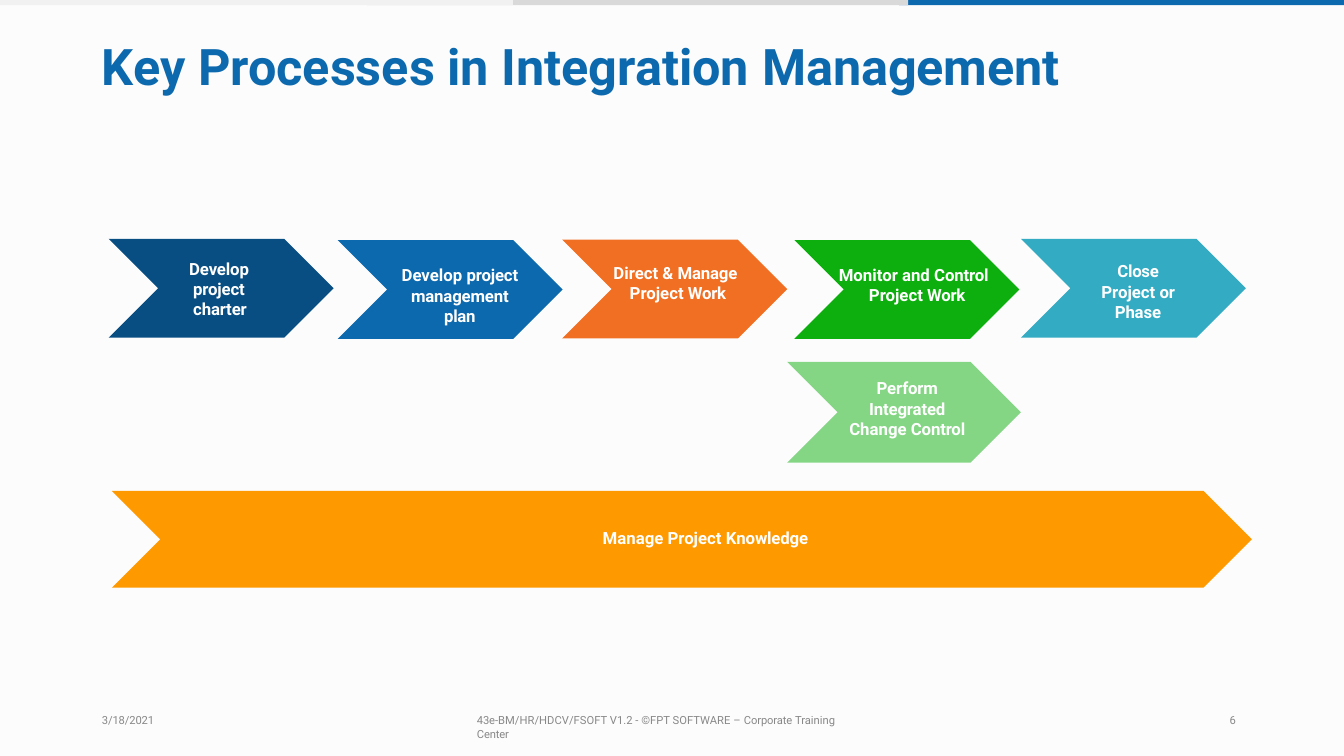
from dataclasses import dataclass

from lxml.etree import SubElement
from pptx import Presentation
from pptx.dml.color import RGBColor
from pptx.enum.shapes import MSO_SHAPE as Preset
from pptx.enum.text import MSO_AUTO_SIZE as AutoSize, PP_ALIGN as Align
from pptx.oxml.ns import qn
from pptx.util import Cm, Pt


@dataclass(frozen=True)
class Theme:
    font: str = "Roboto"
    page: str = "FCFCFC"
    blue: str = "0D69AE"
    navy: str = "094E83"
    orange: str = "F16F22"
    green: str = "0DAF0E"
    teal: str = "33ABC3"
    amber: str = "FF9900"
    grey: str = "D9D9D9"
    pale: str = "F1F1F1"
    white: str = "FFFFFF"
    muted: str = "888888"
    title_size: int = 36
    label_size: int = 12
    footer_size: int = 8


theme = Theme()

# Content: lengths in cm, runs as (text, letter spacing in points)
SLIDE_W, SLIDE_H = 33.87, 19.05

# Top strips: left, right, colour
strips = [
    (22.66, SLIDE_W, theme.blue),
    (9.25, 22.89, theme.grey),
    (0, 12.93, theme.pale),
]

title = [("Key Processes in Integration ", 0), ("Management", -0.1)]

# Arrows: left, top, width, height, colour, opacity in %
STEP_W, STEP_H = 5.67, 2.49
arrows = [
    (2.74, 6.02, STEP_W, STEP_H, theme.navy, 100),
    (8.51, 6.05, STEP_W, STEP_H, theme.blue, 100),
    (14.17, 6.04, STEP_W, STEP_H, theme.orange, 100),
    (20.02, 6.05, STEP_W, STEP_H, theme.green, 100),
    (25.73, 6.02, STEP_W, STEP_H, theme.teal, 100),
    (19.84, 9.12, 5.89, 2.54, theme.green, 50),
    (2.82, 12.37, 28.73, 2.44, theme.amber, 100),
]

# Labels: left, top, width, lines, alignment, (margin, first-line indent), runs
CENTRED = (0.03, 0)
labels = [
    (4.72, 6.48, 1.73, 3, Align.JUSTIFY, (0.15, -0.1),
     [("Develop project charter", -0.1)]),
    (9.96, 6.65, 3.23, 3, Align.CENTER, CENTRED,
     [("Develop ", 0), ("project management ", -0.1), ("plan", -0.2)]),
    (15.44, 6.58, 3.45, 2, Align.LEFT, (0.43, -0.41),
     [("Direct &", 0), (" Manage ", -0.1), ("Project ", 0), ("Work", -0.2)]),
    (21.11, 6.63, 4.17, 2, Align.LEFT, (0.79, -0.76),
     [("Monitor and ", 0), ("Control ", -0.1), ("Project ", 0), ("Work", -0.2)]),
    (27.66, 6.55, 2.01, 3, Align.CENTER, CENTRED,
     [("Close ", -0.2), ("Project ", 0), ("or ", -0.2), ("Phase", -0.1)]),
    (21.26, 9.5, 3.18, 3, Align.CENTER, CENTRED,
     [("Perform Integrated ", -0.1), ("Change ", 0), ("Control", -0.1)]),
    (15.16, 13.28, 5.54, 1, Align.LEFT, CENTRED,
     [("Manage Project ", 0), ("Knowledge", -0.1)]),
]

# Footer: left, width, margin, runs
footer = [
    (2.54, 1.4, 0.03, [("3/18/2021", -0.1)]),
    (11.99, 9.9, 0.03,
     [("43e-", -0.1), ("BM/HR/HDCV/FSOFT V1.2 - ©FPT SOFTWARE – ", 0),
      ("Corporate ", -0.1), ("Training ", 0), ("Center", -0.1)]),
    (30.89, 0.56, 0.1, [("6", -0.2)]),
]

prs = Presentation()
prs.slide_width, prs.slide_height = Cm(SLIDE_W), Cm(SLIDE_H)
slide = prs.slides.add_slide(prs.slide_layouts[6])
slide.background.fill.solid()
slide.background.fill.fore_color.rgb = RGBColor.from_string(theme.page)


def add_block(preset, left, top, width, height, colour, opacity=100):
    block = slide.shapes.add_shape(preset, Cm(left), Cm(top), Cm(width), Cm(height))
    block.shadow.inherit = False
    block.line.fill.background()
    block.fill.solid()
    block.fill.fore_color.rgb = RGBColor.from_string(colour)
    if opacity < 100:
        tint = block._element.spPr.find(".//" + qn("a:srgbClr"))
        SubElement(tint, qn("a:alpha")).set("val", str(opacity * 1000))


def add_text(left, top, width, height, runs, size, colour, bold=False,
             align=Align.LEFT, indent=CENTRED, inset=0.03):
    frame = slide.shapes.add_textbox(Cm(left), Cm(top), Cm(width), Cm(height)).text_frame
    frame.word_wrap = True
    frame.auto_size = AutoSize.SHAPE_TO_FIT_TEXT
    frame.margin_left = frame.margin_right = frame.margin_bottom = 0
    frame.margin_top = Cm(inset)
    paragraph = frame.paragraphs[0]
    paragraph.alignment = align
    properties = paragraph._p.get_or_add_pPr()
    for name, length in zip(("marL", "indent"), indent):
        properties.set(name, str(int(Cm(length))))
    for text, spacing in runs:
        run = paragraph.add_run()
        run.text = text
        run.font.name = theme.font
        run.font.size = Pt(size)
        run.font.bold = bold
        run.font.color.rgb = RGBColor.from_string(colour)
        run._r.get_or_add_rPr().set("spc", str(round(spacing * 100)))


# Top strips
for left, right, colour in strips:
    add_block(Preset.RECTANGLE, left, 0, right - left, 0.13, colour)

# Title
add_text(2.54, 0.86, 26.54, 1.6, title, theme.title_size, theme.blue, bold=True)

# Process arrows and their labels
for arrow in arrows:
    add_block(Preset.CHEVRON, *arrow)
for left, top, width, lines, align, indent, runs in labels:
    add_text(left, top, width, 0.07 + 0.51 * lines, runs, theme.label_size,
             theme.white, True, align, indent)

# Footer
for left, width, margin, runs in footer:
    add_text(left, 17.93, width, 0.43, runs, theme.footer_size, theme.muted,
             indent=(margin, 0), inset=0.05)

prs.save("out.pptx")
